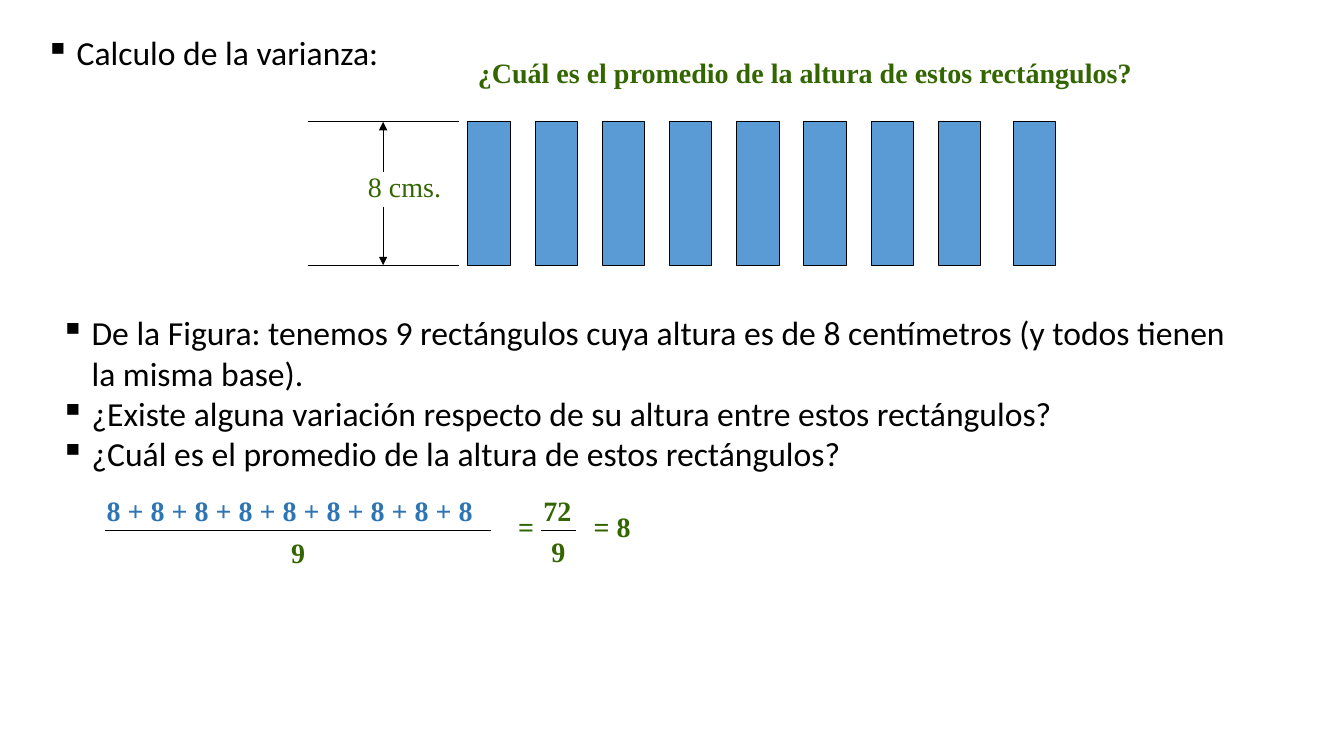
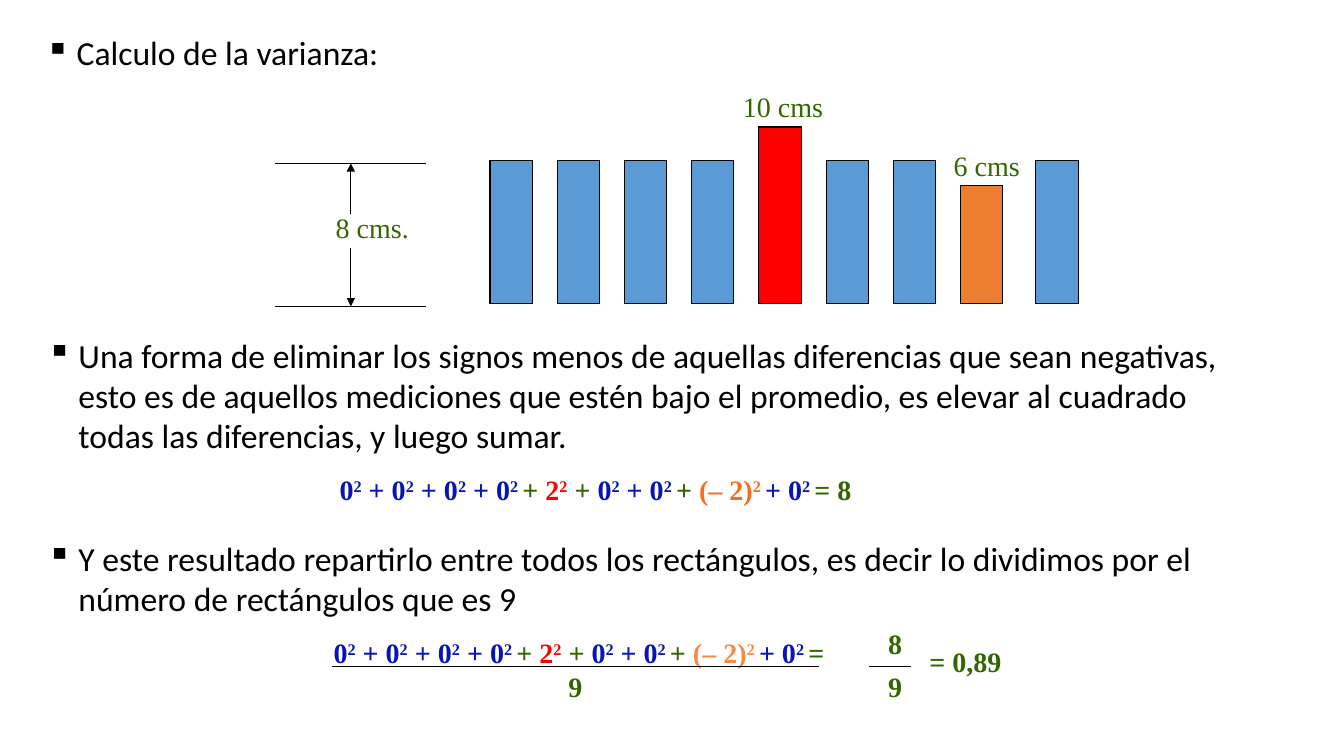
from lxml import etree
from pptx import Presentation
from pptx import util as u
from pptx.dml.color import RGBColor
from pptx.enum import shapes, text
from pptx.oxml.ns import qn

COLORS = {
    "black": "000000", "green": "336600", "sky": "5B9BD5", "steel": "2E75B6",
    "blue": "0714B7", "red": "FF0000", "orange": "ED7D31",
    "deep orange": "F66E1A", "soft orange": "F88B46",
}
TITLE = "Calculo de la varianza:"
QUESTION = "¿Cuál es el promedio de la altura de estos rectángulos?"
FIGURE_POINTS = [
    "De la Figura: tenemos 9 rectángulos cuya altura es de 8 centímetros "
    "(y todos tienen la misma base).",
    "¿Existe alguna variación respecto de su altura entre estos rectángulos?",
    QUESTION,
]
SQUARE_POINTS = [
    "Una forma de eliminar los signos menos de aquellas diferencias que sean negativas, "
    "esto es de aquellos mediciones que estén bajo el promedio, es elevar al cuadrado "
    "todas las diferencias, y luego sumar.",
    "Y este resultado repartirlo entre todos los rectángulos, es decir lo dividimos por el "
    "número de rectángulos que es 9",
]
EQUAL_HEIGHTS = [8] * 9
MIXED_HEIGHTS = [8, 8, 8, 8, 10, 8, 8, 6, 8]
BAR_STYLES = {8: (1.42, "sky"), 10: (1.75, "red"), 6: (1.17, "orange")}
SQUARE_TERMS = [
    ("0", "blue", "2", " + ", "blue"),
    ("0", "blue", "2", " + ", "blue"),
    ("0", "blue", "2", " + ", "blue"),
    ("0", "blue", "2 ", "+ ", "green"),
    ("2", "red", "2", " + ", "green"),
    ("0", "blue", "2", " + ", "blue"),
    ("0", "blue", "2 ", "+ ", "green"),
    ("(– 2)", "negative", "2 ", "+ ", "blue"),
    ("0", "blue", "2 ", "", "blue"),
]
BODY_SIZE, FORMULA_SIZE = 24, 20
BAR_WIDTH, BAR_PITCH, LAST_BAR_GAP = 0.42, 2 / 3, 0.08
GUIDE_WIDTH, GUIDE_HEIGHT = 1.5, 1.42


def rgb(name):
    return RGBColor.from_string(COLORS[name])


def format_run(run, font, size, color, bold=False):
    run.font.name, run.font.size, run.font.bold = font, u.Pt(size), bold
    run.font.color.rgb = rgb(color)


def fill_bullets(shape, points, space_before=0):
    frame = shape.text_frame
    frame.word_wrap = True
    frame.auto_size = text.MSO_AUTO_SIZE.NONE
    frame.vertical_anchor = text.MSO_ANCHOR.TOP
    frame.text = "\n".join(points)
    for index, paragraph in enumerate(frame.paragraphs):
        paragraph.alignment = text.PP_ALIGN.LEFT
        paragraph.space_before = u.Pt(space_before if index else 0)
        properties = paragraph._p.get_or_add_pPr()
        properties.set("marL", str(u.Inches(0.31)))
        properties.set("indent", str(u.Inches(-0.31)))
        etree.SubElement(properties, qn("a:buChar")).set("char", "▪")
        for run in paragraph.runs:
            format_run(run, "Calibri", BODY_SIZE, "black")


def add_titled_slide(presentation):
    slide = presentation.slides.add_slide(presentation.slide_layouts[5])
    title = slide.shapes.title
    title.left, title.top = u.Inches(0.35), u.Inches(0.27)
    title.width, title.height = u.Inches(12.05), u.Inches(0.81)
    fill_bullets(title, [TITLE])
    return slide


def add_box(slide, left, top, width, height):
    return slide.shapes.add_textbox(
        u.Inches(left), u.Inches(top), u.Inches(width), u.Inches(height))


def add_formula(slide, left, top, width, pieces):
    frame = add_box(slide, left, top, width, 0.43).text_frame
    frame.word_wrap = True
    for content, color, raised in pieces:
        run = frame.paragraphs[0].add_run()
        run.text = content
        format_run(run, "Times New Roman", FORMULA_SIZE, color, True)
        if raised:
            run._r.get_or_add_rPr().set("baseline", "30000")


def add_label(slide, left, top, width, content, bold=False):
    frame = add_box(slide, left, top, width, 0.43).text_frame
    frame.word_wrap = True
    frame.text = content
    format_run(frame.paragraphs[0].runs[0], "Times New Roman", FORMULA_SIZE, "green", bold)


def add_line(slide, start, end, arrow=False):
    line = slide.shapes.add_connector(
        shapes.MSO_CONNECTOR.STRAIGHT, *(u.Inches(value) for value in start + end))
    line.line.color.rgb = rgb("black")
    line.line.width = u.Pt(0.75)
    if arrow:
        etree.SubElement(line.line._get_or_add_ln(), qn("a:tailEnd")).set("type", "triangle")
    etree.SubElement(line._element.spPr, qn("a:effectLst"))


def add_height_guide(slide, left, top):
    middle, bottom = left + GUIDE_WIDTH / 2, top + GUIDE_HEIGHT
    for edge in (top, bottom):
        add_line(slide, (left, edge), (left + GUIDE_WIDTH, edge))
    add_line(slide, (middle, top + 0.5), (middle, top), arrow=True)
    add_line(slide, (middle, top + 0.84), (middle, bottom), arrow=True)
    add_label(slide, left + 0.5, top + 0.42, 1.08, "8 cms.")


def add_bars(slide, left, bottom, values):
    for index, value in enumerate(values):
        height, color = BAR_STYLES[value]
        extra = LAST_BAR_GAP if index == len(values) - 1 else 0
        bar = slide.shapes.add_shape(
            shapes.MSO_SHAPE.RECTANGLE, u.Inches(left + index * BAR_PITCH + extra),
            u.Inches(bottom - height), u.Inches(BAR_WIDTH), u.Inches(height))
        bar.shadow.inherit = False
        bar.fill.solid()
        bar.fill.fore_color.rgb = rgb(color)
        bar.line.color.rgb = rgb("black")
        bar.line.width = u.Pt(0.75)


def square_sum(negative_color, ending):
    pieces = []
    for base, color, exponent, joiner, joiner_color in SQUARE_TERMS:
        base_color = negative_color if color == "negative" else color
        pieces += [(base, base_color, False), (exponent, base_color, True)]
        if joiner:
            pieces.append((joiner, joiner_color, False))
    return pieces + [(ending, "green", False)]


presentation = Presentation()
presentation.slide_width, presentation.slide_height = u.Inches(13.33), u.Inches(7.5)

slide = add_titled_slide(presentation)
fill_bullets(add_box(slide, 0.5, 3.05, 12.05, 3.23), FIGURE_POINTS)
add_bars(slide, 4.64, 2.63, EQUAL_HEIGHTS)
add_height_guide(slide, 3.05, 1.21)
add_label(slide, 4.64, 0.5, 7.75, QUESTION, True)
add_formula(slide, 0.96, 4.85, 4, [(" + ".join(map(str, EQUAL_HEIGHTS)), "steel", False)])
add_line(slide, (1.04, 5.26), (4.87, 5.26))
add_line(slide, (5.37, 5.26), (5.71, 5.26))
for left, top, width, content in [
    (2.79, 5.26, 0.33, "9"), (5.04, 5.01, 0.42, "="), (5.29, 4.85, 0.58, "72"),
    (5.37, 5.25, 0.42, "9"), (5.79, 5.01, 0.75, "= 8"),
]:
    add_label(slide, left, top, width, content, True)

slide = add_titled_slide(presentation)
fill_bullets(add_box(slide, 0.37, 3.27, 12.05, 4.04), SQUARE_POINTS, 58.6)
add_height_guide(slide, 2.73, 1.62)
add_bars(slide, 4.86, 3.01, MIXED_HEIGHTS)
add_label(slide, 7.27, 0.84, 1.08, "10 cms")
add_label(slide, 9.36, 1.42, 1.08, "6 cms")
add_formula(slide, 3.27, 4.64, 5.83, square_sum("deep orange", "= 8"))
add_formula(slide, 3.21, 6.26, 5.33, square_sum("soft orange", "="))
add_line(slide, (3.29, 6.61), (8.12, 6.61))
add_line(slide, (8.62, 6.61), (9.04, 6.61))
for left, top, width, content in [
    (5.54, 6.59, 0.33, "9"), (8.71, 6.59, 0.33, "9"),
    (8.71, 6.17, 0.42, "8"), (9.12, 6.34, 1.17, "= 0,89"),
]:
    add_label(slide, left, top, width, content, True)

presentation.save("out.pptx")
